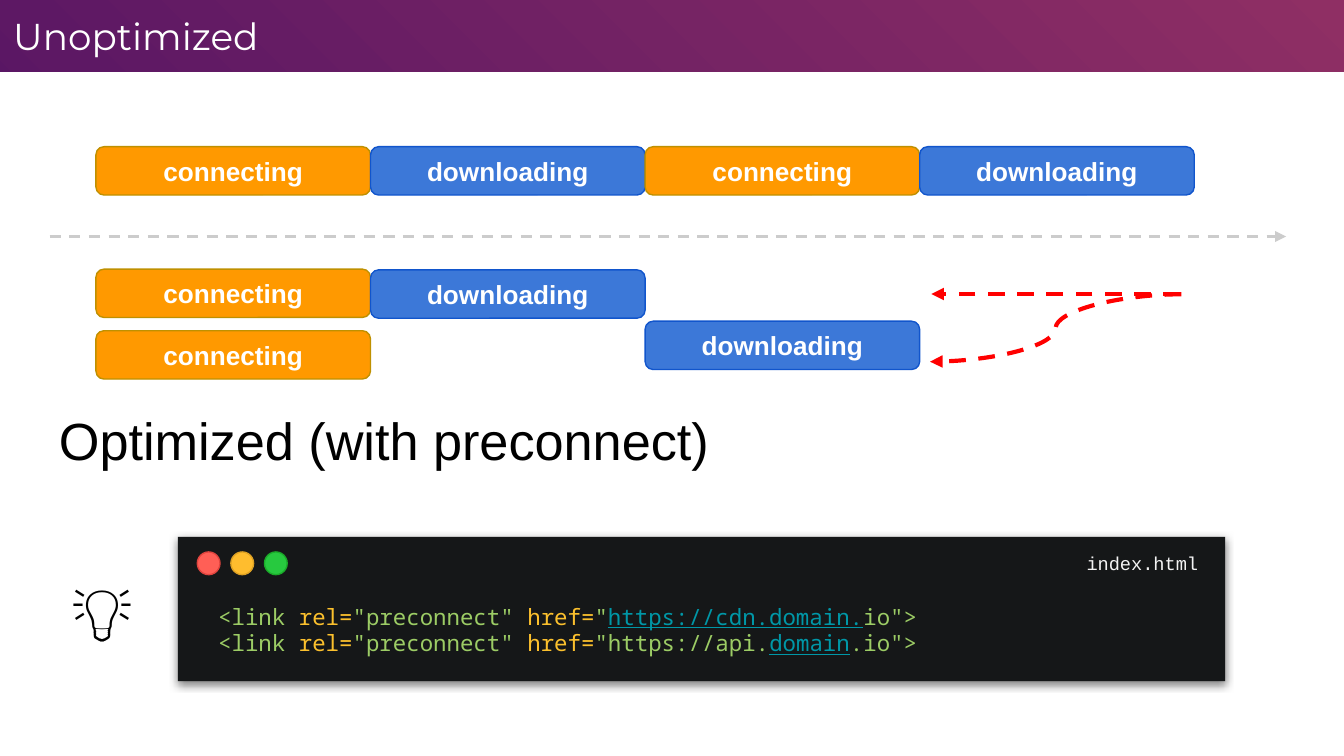
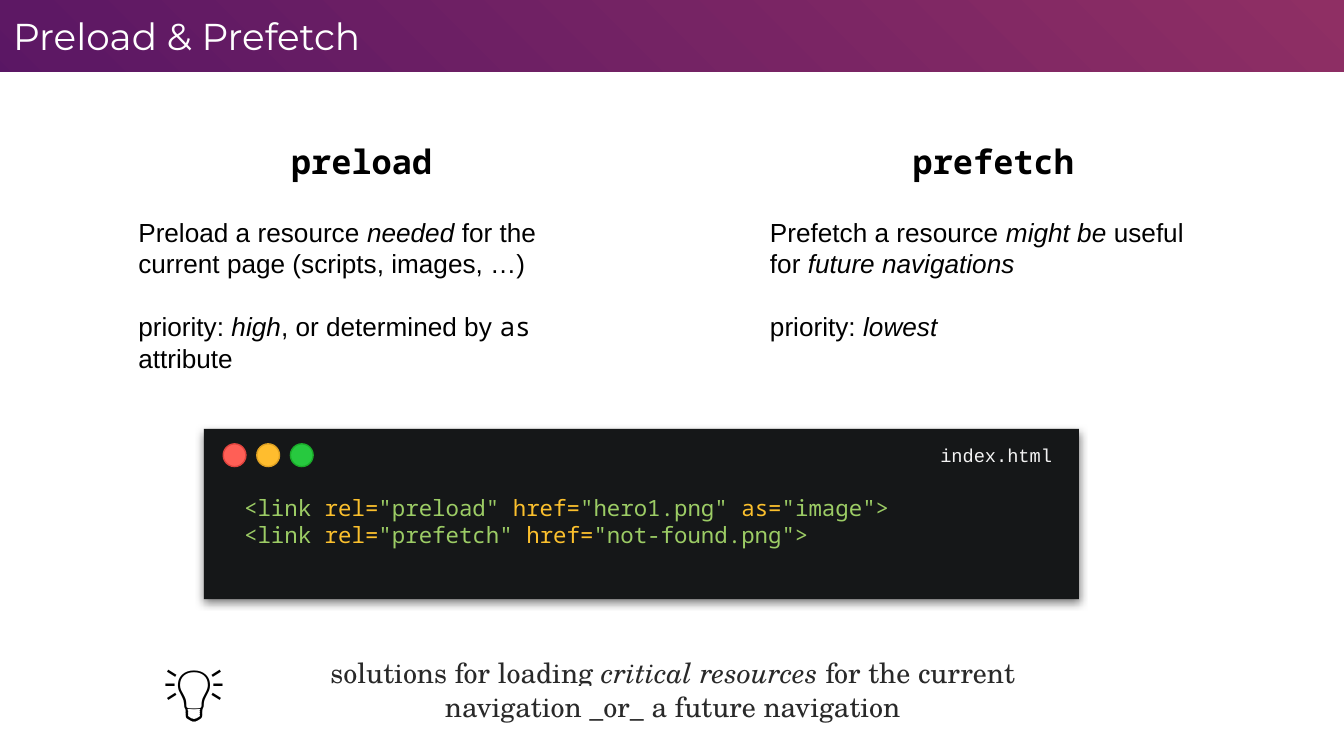
from pptx import Presentation
from pptx.dml.color import RGBColor
from pptx.enum.dml import MSO_LINE_DASH_STYLE as Dash
from pptx.enum.shapes import MSO_CONNECTOR as Connector, MSO_SHAPE as Shape
from pptx.enum.text import MSO_ANCHOR as Anchor, MSO_AUTO_SIZE as AutoSize, PP_ALIGN as Align
from pptx.oxml import parse_xml
from pptx.oxml.ns import nsdecls, qn
from pptx.util import Pt

# Shared look
WIDTH, HEIGHT, BAND = 720, 405, 38.6
MONO = "Noto Sans Mono"
GRADIENT = [(0, "F35C65"), (0, "8F2F64"), (64, "5D1864"), (100, "2B0163")]
TAG, ATTRIBUTE = {"color": "9CCC65"}, {"color": "FBC02D"}
LINK = {"color": "0097A7", "underline": True}
ITALIC = {"italic": True}
WINDOW_DOTS = [("FF5F56", "E0443E"), ("FFBD2E", "DEA123"), ("27C93F", "1AAB29")]

# Slide 1: timeline blocks as (kind, column, top)
BLOCK_COLORS = {"connecting": ("FF9900", "BF9000"), "downloading": ("3C78D8", "1155CC")}
BLOCKS = [
    ("connecting", 0, 78.6), ("downloading", 1, 78.6),
    ("connecting", 2, 78.6), ("downloading", 3, 78.6),
    ("connecting", 0, 144.2), ("downloading", 1, 144.6),
    ("connecting", 0, 177.2), ("downloading", 2, 172.1),
]
BLOCK_LEFT, BLOCK_WIDTH, BLOCK_HEIGHT = 51.4, 147.1, 25.9
PRECONNECT = [(" <link ", TAG), ("rel=", ATTRIBUTE), ('"preconnect" ', TAG), ("href=", ATTRIBUTE)]
PRECONNECT_CODE = [
    PRECONNECT + [('"', TAG), ("https://cdn.domain.", LINK), ('io">', TAG)],
    PRECONNECT + [('"https://api.', TAG), ("domain", LINK), ('.io">', TAG)],
]

# Slide 2: columns as (heading, heading left, text left, text height, paragraphs)
COLUMNS = [
    ("preload", 140.4, 67, 99.4, [
        [("Preload a resource ", {}), ("needed ", ITALIC),
         ("for the current page (scripts, images, …)", {})],
        [("priority: ", {}), ("high", ITALIC), (", or determined by ", {}),
         ("as", {"font": MONO}), (" attribute", {})],
    ]),
    ("prefetch", 478.8, 405.4, 82, [
        [("Prefetch a resource ", {}), ("might be", ITALIC), (" useful for ", {}),
         ("future navigations", ITALIC)],
        [("priority: ", {}), ("lowest", ITALIC)],
    ]),
]
PRELOAD_CODE = [
    [(" <link ", TAG), ("rel=", ATTRIBUTE), ('"preload" ', TAG), ("href=", ATTRIBUTE),
     ('"hero1.png" ', TAG), ("as=", ATTRIBUTE), ('"image">', TAG)],
    [(" <link ", TAG), ("rel=", ATTRIBUTE), ('"prefetch" ', TAG), ("href=", ATTRIBUTE),
     ('"not-found.png">', TAG)],
]
SUMMARY = [[("solutions for loading ", {}), ("critical resources", ITALIC),
            (" for the current navigation _or_ a future navigation", {})]]


def rgb(color):
    return RGBColor.from_string(color)


def plain(text):
    return [[(text, {})]]


def add_run(paragraph, text, size, font="Arial", color="000000", bold=False,
            italic=False, underline=False, highlight=None):
    run = paragraph.add_run()
    run.text = text
    run.font.size, run.font.name = Pt(size), font
    run.font.bold, run.font.italic, run.font.underline = bold, italic, underline
    run.font.color.rgb = rgb(color)
    if highlight:
        fill = run.font._element.find(qn("a:solidFill"))
        fill.addnext(parse_xml(f'<a:highlight {nsdecls("a")}><a:srgbClr val="{highlight}"/></a:highlight>'))


def write(shape, paragraphs, style, align=Align.LEFT, anchor=Anchor.TOP,
          insets=(7.2, 7.2, 7.2, 7.2), gap=0, spacing=None, grow=False):
    frame = shape.text_frame
    frame.word_wrap = True
    frame.auto_size = AutoSize.SHAPE_TO_FIT_TEXT if grow else AutoSize.NONE
    frame.vertical_anchor = anchor
    frame.margin_left, frame.margin_top, frame.margin_right, frame.margin_bottom = map(Pt, insets)
    for index, runs in enumerate(paragraphs):
        paragraph = frame.add_paragraph() if index else frame.paragraphs[0]
        paragraph.alignment = align
        if spacing:
            paragraph.line_spacing = spacing
        if index and gap:
            paragraph.space_before = Pt(gap)
        for text, changes in runs:
            add_run(paragraph, text, **{**style, **changes})


def add_text(slide, box, paragraphs, style, **layout):
    write(slide.shapes.add_textbox(*map(Pt, box)), paragraphs, style, **layout)


def add_box(slide, kind, box, fill, line=None):
    shape = slide.shapes.add_shape(kind, *map(Pt, box))
    shape.shadow.inherit = False
    shape.fill.solid()
    shape.fill.fore_color.rgb = rgb(fill)
    if line:
        shape.line.color.rgb = rgb(line)
        shape.line.width = Pt(0.75)
    else:
        shape.line.fill.background()
    return shape


def add_arrow(slide, kind, points, color, width):
    arrow = slide.shapes.add_connector(kind, *map(Pt, points))
    arrow.line.color.rgb = rgb(color)
    arrow.line.width = Pt(width)
    arrow.line.dash_style = Dash.DASH
    arrow.line._get_or_add_ln().append(parse_xml(f'<a:tailEnd {nsdecls("a")} type="triangle"/>'))
    arrow._element.spPr.append(parse_xml(f'<a:effectLst {nsdecls("a")}/>'))


def add_slide(presentation):
    """Blank slide with the gradient background and the white body."""
    slide = presentation.slides.add_slide(presentation.slide_layouts[6])
    slide.background.fill.gradient()
    stops = "".join(f'<a:gs pos="{position * 1000}"><a:srgbClr val="{color}"/></a:gs>'
                    for position, color in GRADIENT)
    old_fill = slide.element.find(".//" + qn("a:gradFill"))
    old_fill.getparent().replace(old_fill, parse_xml(
        f'<a:gradFill {nsdecls("a")}><a:gsLst>{stops}</a:gsLst><a:path path="circle">'
        '<a:fillToRect l="100000" b="100000"/></a:path><a:tileRect/></a:gradFill>'))
    add_box(slide, Shape.RECTANGLE, (0, BAND, WIDTH, HEIGHT - BAND), "FFFFFF")
    return slide


def add_title(slide, text):
    add_text(slide, (0, 0, 649, BAND), plain(text),
             {"size": 20, "font": "Montserrat", "color": "FFFFFF"})


def add_bulb(slide, left, top):
    add_text(slide, (left, top, 55.4, 53.2), plain("💡"), {"size": 32},
             align=Align.CENTER, grow=True)


def add_code_window(slide, left, top, width, height, name_left, code):
    window = add_box(slide, Shape.RECTANGLE, (left, top, width, height), "151718")
    effects = window._element.spPr.find(qn("a:effectLst"))
    effects.append(parse_xml(
        f'<a:outerShdw {nsdecls("a")} blurRad="{Pt(4.5)}" dist="{Pt(1.5)}" dir="5400000" '
        'algn="bl" rotWithShape="0"><a:srgbClr val="000000"><a:alpha val="50000"/>'
        '</a:srgbClr></a:outerShdw>'))
    bar = 28
    add_text(slide, (left, top + bar, width, height - bar), code, {"size": 12, "font": MONO},
             insets=(14.4, 7.2, 14.4, 14.4))
    for index, (fill, line) in enumerate(WINDOW_DOTS):
        add_box(slide, Shape.OVAL, (left + 10.4 + 18 * index, top + 8, 12.2, 12.2), fill, line)
    add_text(slide, (name_left, top, left + width - name_left, bar), plain("index.html"),
             {"size": 10, "font": "Courier New", "color": "F3F3F3"},
             align=Align.RIGHT, anchor=Anchor.MIDDLE, insets=(7.2, 7.2, 14.4, 7.2))


def build_unoptimized(presentation):
    slide = add_slide(presentation)
    # Time axis and blocks
    add_arrow(slide, Connector.STRAIGHT, (26.6, 126.7, 689, 126.7), "CCCCCC", 1.5)
    for kind, column, top in BLOCKS:
        box = (BLOCK_LEFT + column * BLOCK_WIDTH, top, BLOCK_WIDTH, BLOCK_HEIGHT)
        block = add_box(slide, Shape.ROUNDED_RECTANGLE, box, *BLOCK_COLORS[kind])
        write(block, plain(kind), {"size": 14, "color": "FFFFFF", "bold": True},
              align=Align.CENTER, anchor=Anchor.MIDDLE)
    add_text(slide, (24.5, 215.3, 671, 45.4), plain("Optimized (with preconnect)"),
             {"size": 28}, spacing=0.9)
    # Code and hint
    add_code_window(slide, 95.3, 287.7, 561, 77.2, 160, PRECONNECT_CODE)
    add_bulb(slide, 27.4, 299.5)
    # Arrows to the parallel downloads
    add_arrow(slide, Connector.STRAIGHT, (632.2, 157.5, 499, 157.5), "FF0000", 2.25)
    add_arrow(slide, Connector.CURVE, (632.9, 157.7, 498.3, 193.8), "FF0000", 2.25)
    add_title(slide, "Unoptimized")


def build_preload(presentation):
    slide = add_slide(presentation)
    add_code_window(slide, 109.2, 229.8, 468.8, 91.2, 163.4, PRELOAD_CODE)
    # Two explanations side by side
    for heading, heading_left, text_left, height, paragraphs in COLUMNS:
        add_text(slide, (heading_left, 68.4, 106.6, 36), plain(heading),
                 {"size": 18, "font": MONO, "bold": True}, align=Align.CENTER, grow=True)
        add_text(slide, (text_left, 108.7, 253.4, height), paragraphs, {"size": 14},
                 gap=17, grow=True)
    # Summary and hint
    add_text(slide, (139, 344.2, 442.8, 51.1), SUMMARY,
             {"size": 15, "font": "TeX Gyre Schola", "color": "292929", "highlight": "FFFFFF"},
             align=Align.CENTER, grow=True)
    add_bulb(slide, 76.3, 342.7)
    add_title(slide, "Preload & Prefetch")


def main():
    presentation = Presentation()
    presentation.slide_width, presentation.slide_height = Pt(WIDTH), Pt(HEIGHT)
    build_unoptimized(presentation)
    build_preload(presentation)
    presentation.save("out.pptx")


if __name__ == "__main__":
    main()
